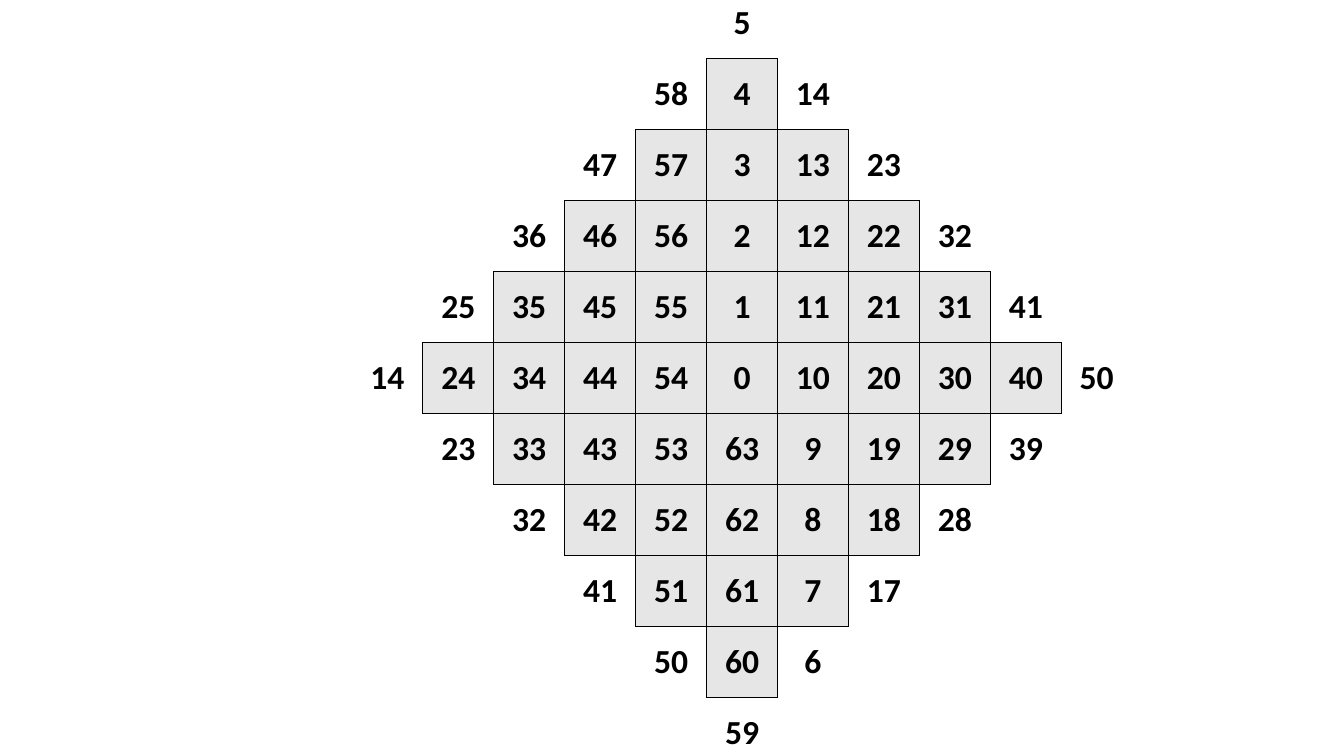
import dataclasses

import lxml.etree
import pptx
import pptx.dml.color
import pptx.enum.text
import pptx.oxml.ns
import pptx.util


@dataclasses.dataclass(frozen=True)
class Theme:
    ink: str = "000000"
    shade: str = "E7E6E6"
    font: str = "Calibri"
    number_size: int = 24
    border_width: int = 1


THEME = Theme()
RADIUS = 5
MODULUS = 64
COLUMN_STEP = 10
SIDES = {"lnL": (-1, 0), "lnR": (1, 0), "lnT": (0, 1), "lnB": (0, -1)}


def rgb(color):
    return pptx.dml.color.RGBColor.from_string(color)


def write_text(frame, text, *, size, color, font, bold=False,
               align=pptx.enum.text.PP_ALIGN.CENTER):
    paragraph = frame.paragraphs[0]
    paragraph.alignment = align
    run = paragraph.add_run()
    run.text = text
    run.font.size = pptx.util.Pt(size)
    run.font.name = font
    run.font.bold = bold
    run.font.color.rgb = rgb(color)


def distance(x, y):
    return abs(x) + abs(y)


def is_shaded(x, y):
    return distance(x, y) < RADIUS


def draw_borders(cell, x, y):
    qn = pptx.oxml.ns.qn
    properties = cell._tc.get_or_add_tcPr()
    for index, (side, (dx, dy)) in enumerate(SIDES.items()):
        border = lxml.etree.Element(qn(f"a:{side}"))
        properties.insert(index, border)
        if is_shaded(x, y) or is_shaded(x + dx, y + dy):
            border.set("w", str(pptx.util.Pt(THEME.border_width)))
            fill = lxml.etree.SubElement(border, qn("a:solidFill"))
            lxml.etree.SubElement(fill, qn("a:srgbClr"), val=THEME.ink)
        else:
            lxml.etree.SubElement(border, qn("a:noFill"))


def fill_cell(cell, x, y):
    if is_shaded(x, y):
        cell.fill.solid()
        cell.fill.fore_color.rgb = rgb(THEME.shade)
    else:
        cell.fill.background()
    draw_borders(cell, x, y)
    if distance(x, y) <= RADIUS:
        cell.vertical_anchor = pptx.enum.text.MSO_ANCHOR.MIDDLE
        number = (COLUMN_STEP * x + y) % MODULUS
        write_text(cell.text_frame, str(number), size=THEME.number_size,
                   color=THEME.ink, font=THEME.font, bold=True)


def add_number_diamond(slide, left, top, width, height):
    count = 2 * RADIUS + 1
    diamond = slide.shapes.add_table(count, count, left, top, width, height).table
    diamond.first_row = False
    diamond.horz_banding = False
    for column in diamond.columns:
        column.width = round(width / count)
    for row in diamond.rows:
        row.height = round(height / count)
    for row in range(count):
        for column in range(count):
            fill_cell(diamond.cell(row, column), column - RADIUS, RADIUS - row)


def main():
    Inches = pptx.util.Inches
    deck = pptx.Presentation()
    deck.slide_width = Inches(13.33)
    deck.slide_height = Inches(7.5)
    slide = deck.slides.add_slide(deck.slide_layouts[6])
    add_number_diamond(slide, Inches(3.49), Inches(-0.12), Inches(7.74), Inches(7.75))
    deck.save("out.pptx")


main()
